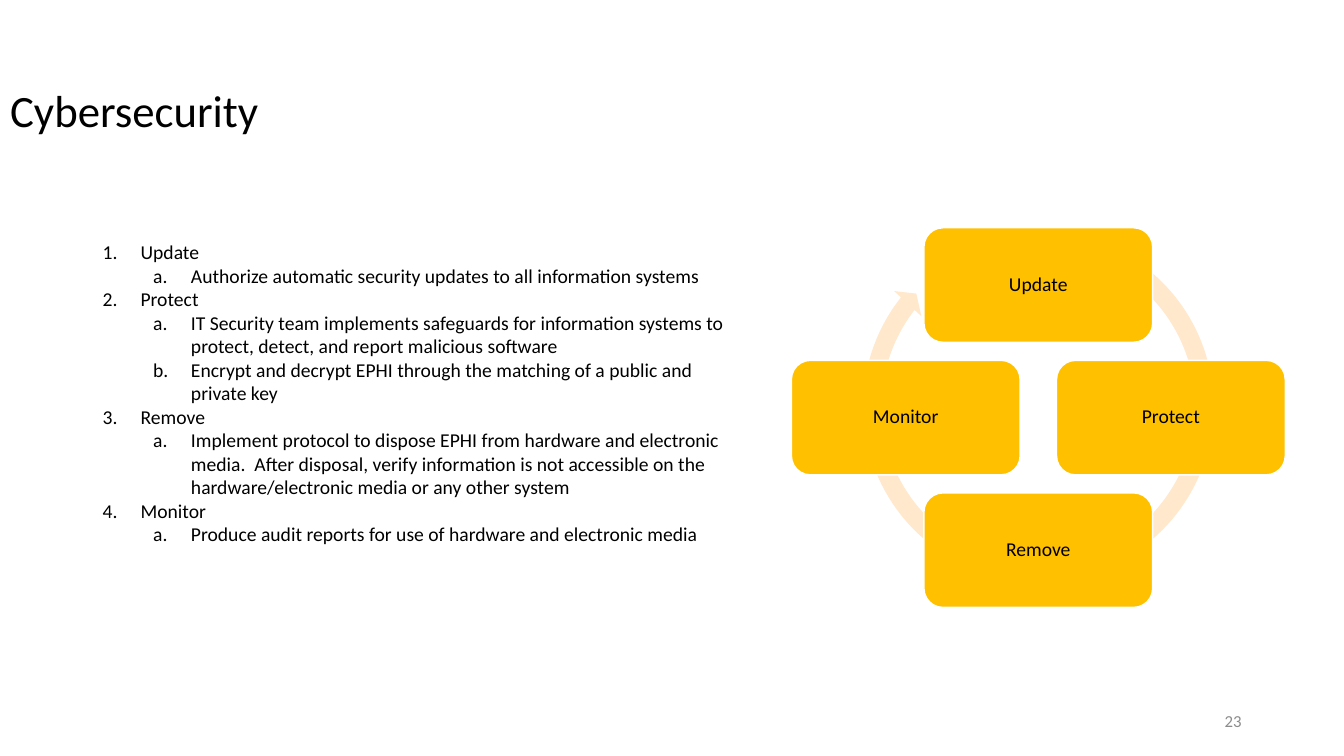
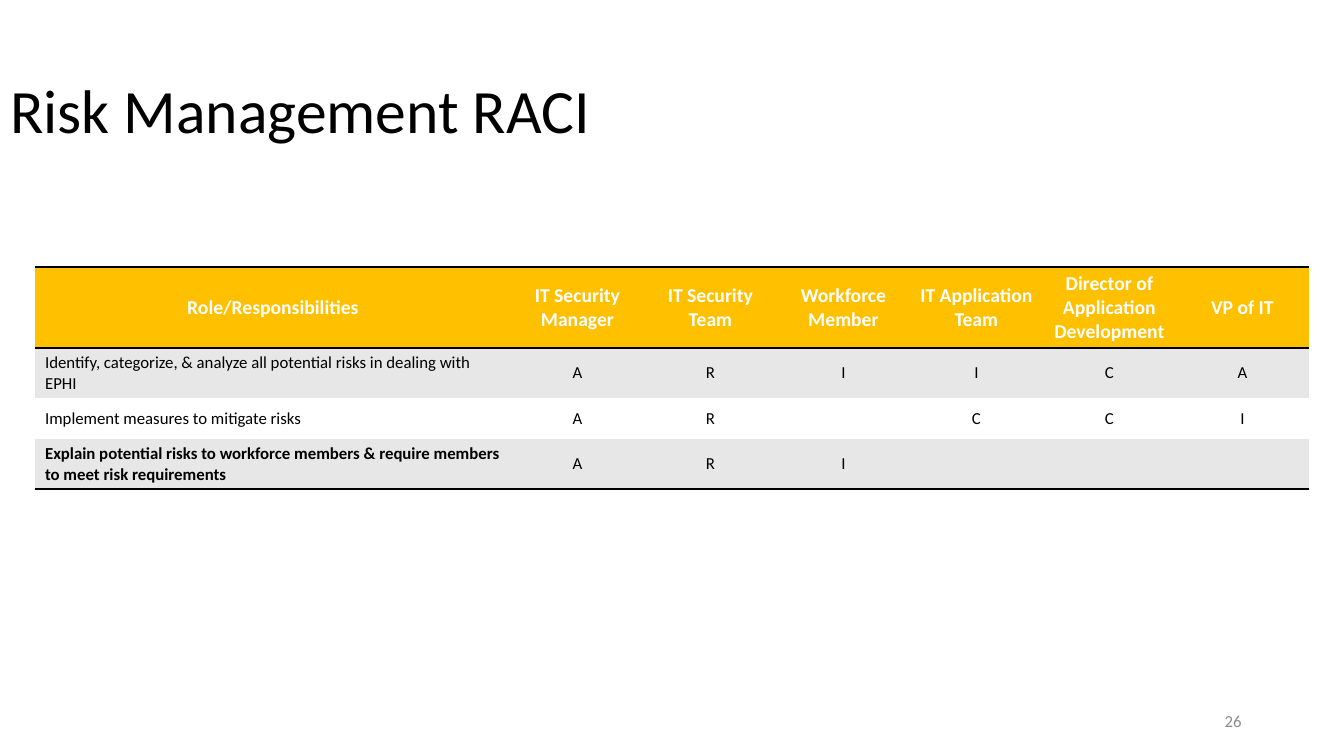
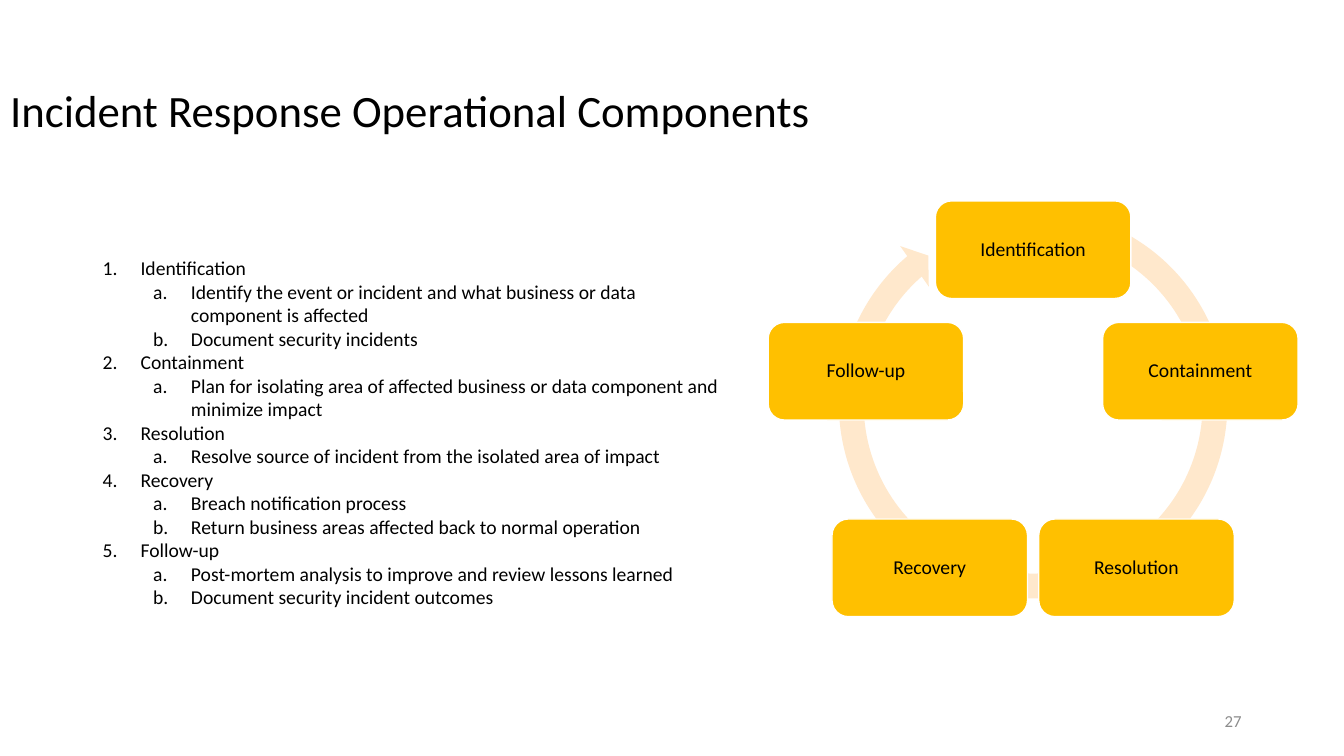
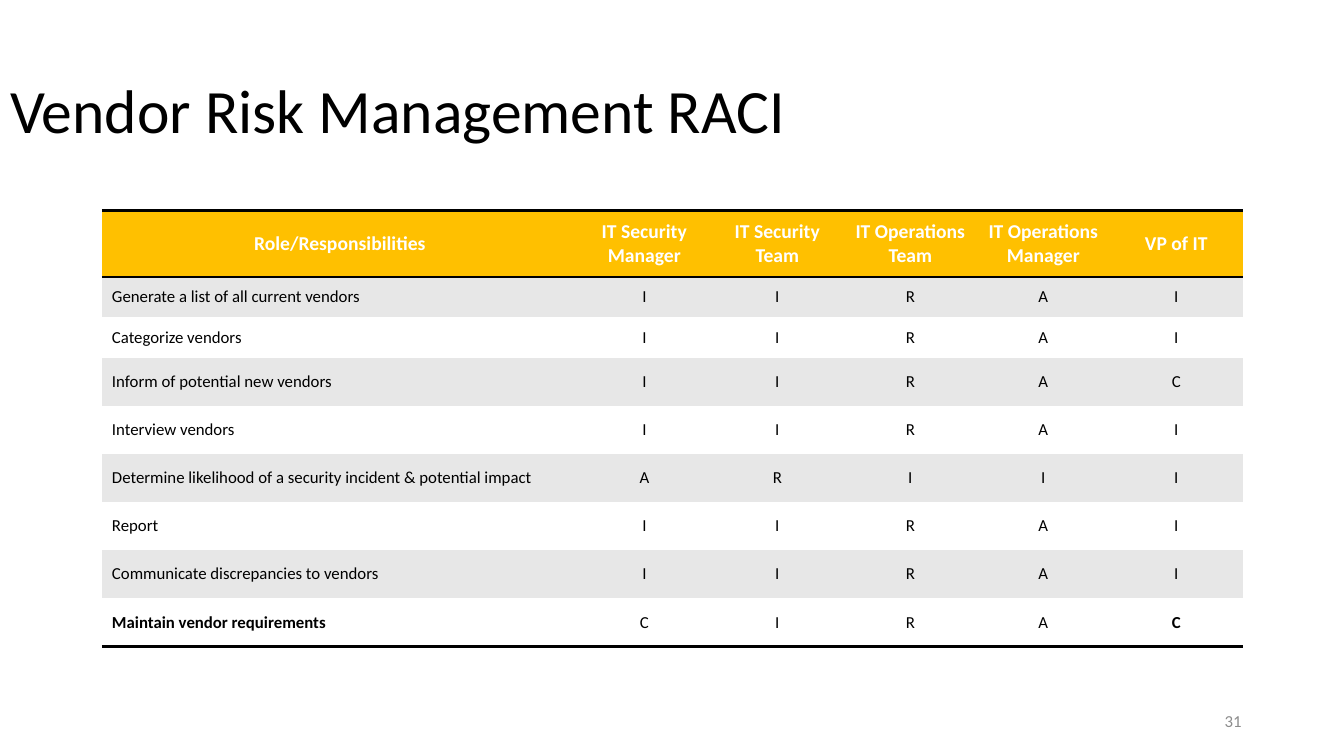
import math

from lxml import etree
from pptx import Presentation
from pptx import util as u
from pptx.dml.color import RGBColor
from pptx.enum import shapes, text
from pptx.oxml.ns import qn

Pt = u.Pt
LEFT, MID, RIGHT = text.PP_ALIGN.LEFT, text.PP_ALIGN.CENTER, text.PP_ALIGN.RIGHT
CENTRE = text.MSO_ANCHOR.MIDDLE
INK = {"black": "000000", "white": "FFFFFF", "gold": "FFC000",
       "peach": "FFE8CC", "band": "E7E7E7", "grey": "8C8C8C"}
PLAIN = "{2D5ABB26-0587-4C30-8999-92F81FD0307C}"  # table style without grid


def tint(name):
    return RGBColor.from_string(INK[name])


def place(shape, left, top, width, height):
    shape.left, shape.top = Pt(left), Pt(top)
    shape.width, shape.height = Pt(width), Pt(height)


def write(para, words, size=14, ink="black", bold=False, align=LEFT, lead=1.0):
    para.alignment, para.line_spacing = align, lead
    run = para.add_run()
    run.text = words
    font = run.font
    font.name, font.size, font.bold = "Calibri", Pt(size), bold
    font.color.rgb = tint(ink)


def number(para, level):
    """Number a paragraph 1. 2. 3. at level 0 and a. b. c. at level 1."""
    para.level = level
    props = para._p.get_or_add_pPr()
    props.set("marL", str(Pt((27, 63)[level])))
    props.set("indent", str(Pt(-27)))
    mark = etree.SubElement(props, qn("a:buFont"))
    mark.set("typeface", "+mj-lt")
    kind = ("arabicPeriod", "alphaLcPeriod")[level]
    etree.SubElement(props, qn("a:buAutoNum")).set("type", kind)


def rule(cell, side):
    """Draw a black border on one side of a cell: lnT or lnB."""
    line = etree.SubElement(cell._tc.get_or_add_tcPr(), qn("a:" + side))
    line.set("w", str(Pt(2)))
    fill = etree.SubElement(line, qn("a:solidFill"))
    etree.SubElement(fill, qn("a:srgbClr")).set("val", INK["black"])


class Deck:
    """Holds the shared style and the slide being built."""

    def __init__(self):
        self.show = Presentation()
        self.show.slide_width, self.show.slide_height = Pt(960), Pt(540)
        self.slide = None

    def start(self, title, page, size, layout):
        self.slide = self.show.slides.add_slide(self.show.slide_layouts[layout])
        head = self.slide.shapes.title
        place(head, 0, 28.8, 828, 104.4)
        head.text_frame.vertical_anchor = CENTRE
        write(head.text_frame.paragraphs[0], title, size, lead=0.9)
        foot = self.slide.shapes.add_textbox(Pt(678), Pt(500.5), Pt(216), Pt(28.8))
        foot.text_frame.word_wrap = True
        foot.text_frame.vertical_anchor = CENTRE
        write(foot.text_frame.paragraphs[0], str(page), 12, "grey", align=RIGHT)

    def list(self, steps, top, width):
        body = self.slide.placeholders[1]
        place(body, 66.2, top, width, 262)
        frame = body.text_frame
        frame.auto_size = text.MSO_AUTO_SIZE.NONE
        frame.vertical_anchor = text.MSO_ANCHOR.TOP
        lines = [(line, level) for step, parts in steps.items()
                 for line, level in [(step, 0)] + [(part, 1) for part in parts]]
        for spot, (line, level) in enumerate(lines):
            para = frame.add_paragraph() if spot else frame.paragraphs[0]
            number(para, level)
            para.space_before = Pt(0)
            write(para, line)

    def form(self, kind, left, top, width, height, fill):
        shape = self.slide.shapes.add_shape(
            kind, Pt(left), Pt(top), Pt(width), Pt(height))
        shape.shadow.inherit = False
        shape.fill.solid()
        shape.fill.fore_color.rgb = tint(fill)
        return shape

    def cycle(self, names, mid, reach, box, ring):
        """Set boxes clockwise from the top of a circle, over a round arrow."""
        span, top, bends = ring
        arrow = self.form(shapes.MSO_SHAPE.CIRCULAR_ARROW,
                          mid[0] - span / 2, top, span, span, "peach")
        arrow.line.fill.background()
        for spot, bend in enumerate(bends):
            arrow.adjustments[spot] = bend
        wide, high = box
        for spot, name in enumerate(names):
            turn = math.tau * spot / len(names)
            node = self.form(shapes.MSO_SHAPE.ROUNDED_RECTANGLE,
                             mid[0] + reach * math.sin(turn) - wide / 2,
                             mid[1] - reach * math.cos(turn) - high / 2,
                             wide, high, "gold")
            node.line.color.rgb = tint("white")
            node.line.width = Pt(1)
            node.text_frame.word_wrap = True
            node.text_frame.vertical_anchor = CENTRE
            write(node.text_frame.paragraphs[0], name, align=MID, lead=0.9)

    def raci(self, heads, tasks, left, top, highs, bolds):
        """Add a table; bolds lists the bold columns of its last row."""
        rows = [["Role/Responsibilities"] + heads]
        rows += [[task] + list(marks) for task, marks in tasks]
        wides = [340] + [95] * len(heads)
        grid = self.slide.shapes.add_table(
            len(rows), len(wides), Pt(left), Pt(top),
            Pt(sum(wides)), Pt(sum(highs))).table
        grid.horz_banding = False
        grid._tbl.tblPr.find(qn("a:tableStyleId")).text = PLAIN
        for part, wide in zip(grid.columns, wides):
            part.width = Pt(wide)
        last = len(rows) - 1
        for y, (row, high) in enumerate(zip(rows, highs)):
            grid.rows[y].height = Pt(high)
            for x, words in enumerate(row):
                cell = grid.cell(y, x)
                cell.vertical_anchor = CENTRE
                if y == 0:
                    rule(cell, "lnT")
                if y in (0, last):
                    rule(cell, "lnB")
                cell.fill.solid()
                fill = "gold" if y == 0 else ("white", "band")[y % 2]
                cell.fill.fore_color.rgb = tint(fill)
                para = cell.text_frame.paragraphs[0]
                if y == 0:
                    write(para, words, 14, "white", True, MID)
                elif words.strip():
                    write(para, words, 12, bold=y == last and x in bolds,
                          align=MID if x else LEFT)


def main():
    deck = Deck()

    deck.start("Cybersecurity", 23, 32, layout=1)
    steps = {
        "Update": ["Authorize automatic security updates to all information systems"],
        "Protect": [
            "IT Security team implements safeguards for information systems to "
            "protect, detect, and report malicious software",
            "Encrypt and decrypt EPHI through the matching of a public and private key"],
        "Remove": [
            "Implement protocol to dispose EPHI from hardware and electronic media.  "
            "After disposal, verify information is not accessible on the "
            "hardware/electronic media or any other system"],
        "Monitor": ["Produce audit reports for use of hardware and electronic media"],
    }
    deck.cycle(steps, (741.7, 298.3), 94.7, (163.4, 81.8),
               (263.5, 158.4, (0.05, 2.73, 130.89, 178.58, 0.05)))
    deck.list(steps, 167.8, 466.6)

    deck.start("Risk Management RACI", 26, 44, layout=5)
    deck.raci(
        ["IT Security Manager", "IT Security Team", "Workforce Member",
         "IT Application Team", "Director of Application Development", "VP of IT"],
        [("Identify, categorize, & analyze all potential risks in dealing with EPHI",
          "ARIICA"),
         ("Implement measures to mitigate risks", "AR CCI"),
         ("Explain potential risks to workforce members & require members to meet "
          "risk requirements", "ARI   ")],
        25, 190.8, [47.5, 28.8, 28.8, 34.4], bolds=[0])

    deck.start("Incident Response Operational Components", 27, 32, layout=1)
    steps = {
        "Identification": [
            "Identify the event or incident and what business or data component "
            "is affected",
            "Document security incidents"],
        "Containment": [
            "Plan for isolating area of affected business or data component and "
            "minimize impact"],
        "Resolution": ["Resolve source of incident from the isolated area of impact"],
        "Recovery": ["Breach notification process",
                     "Return business areas affected back to normal operation"],
        "Follow-up": ["Post-mortem analysis to improve and review lessons learned",
                      "Document security incident outcomes"],
    }
    deck.cycle(steps, (738, 304), 125.6, (139.7, 69.8),
               (295.2, 141.1, (0.06, 3.31, 137.56, 173.98, 0.06)))
    deck.list(steps, 179.2, 457.2)

    deck.start("Vendor Risk Management RACI", 31, 44, layout=5)
    deck.raci(
        ["IT Security Manager", "IT Security Team", "IT Operations Team",
         "IT Operations Manager", "VP of IT"],
        [("Generate a list of all current vendors", "IIRAI"),
         ("Categorize vendors", "IIRAI"),
         ("Inform of potential new vendors", "IIRAC"),
         ("Interview vendors", "IIRAI"),
         ("Determine likelihood of a security incident & potential impact", "ARIII"),
         ("Report", "IIRAI"),
         ("Communicate discrepancies to vendors", "IIRAI"),
         ("Maintain vendor requirements", "CIRAC")],
        72.8, 150.3, [47.5] + [28.8] * 2 + [34.4] * 6, bolds=[0, 5])

    deck.show.save("out.pptx")


if __name__ == "__main__":
    main()
